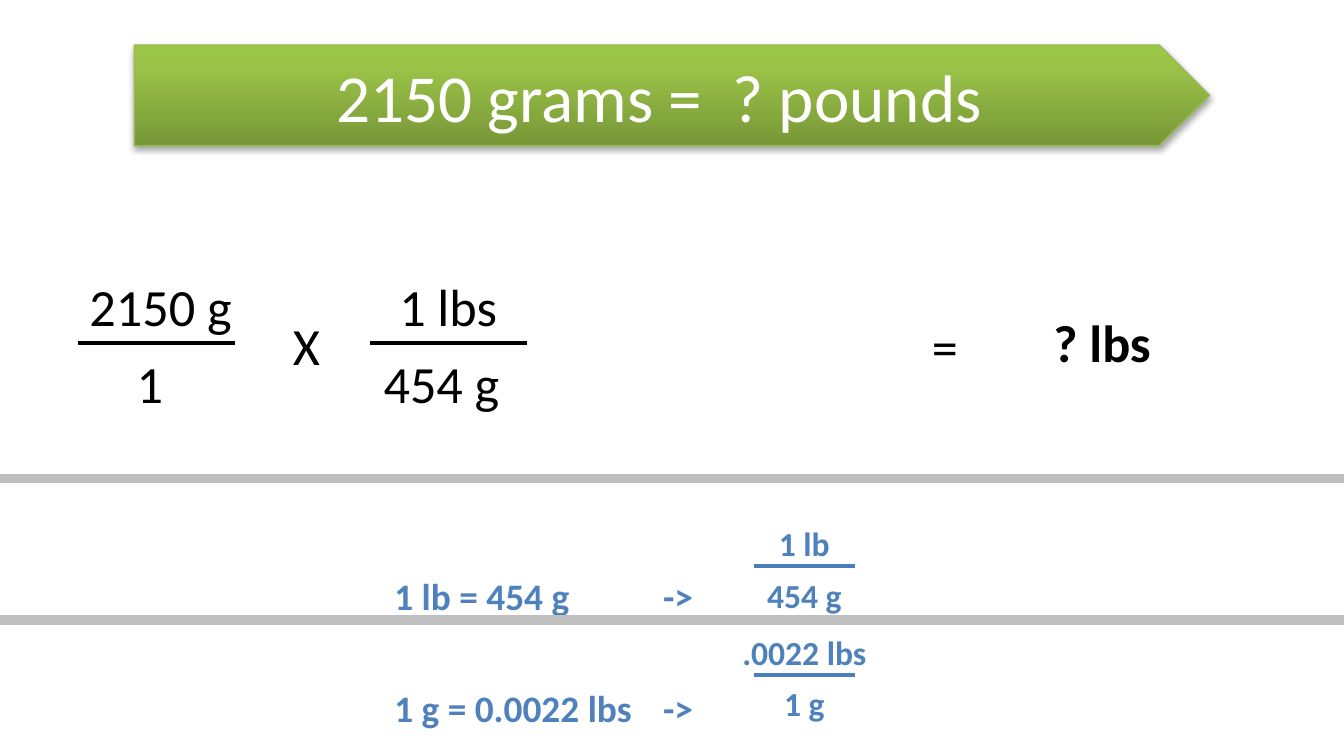
"""Build a unit conversion slide that turns grams into pounds."""
from copy import deepcopy
from dataclasses import dataclass

from lxml.etree import SubElement
from pptx import Presentation
from pptx.dml.color import RGBColor
from pptx.enum.shapes import MSO_CONNECTOR as Connector, MSO_SHAPE as Shape
from pptx.enum.text import MSO_ANCHOR as Anchor, MSO_AUTO_SIZE as AutoSize, PP_ALIGN as Align
from pptx.oxml.ns import qn
from pptx.util import Inches, Pt


@dataclass(frozen=True)
class Theme:
    font: str = "Calibri"
    ink: str = "000000"
    light: str = "FFFFFF"
    note: str = "4F81BD"
    note_bar: str = "4B7EBC"
    divider: str = "BFBFBF"
    banner_line: str = "98B955"
    banner_stops: tuple = ((0, "779737"), (0.8, "9BC348"), (1, "9DC746"))
    title_size: int = 36
    body_size: int = 28
    rule_size: int = 20
    note_size: int = 18


THEME = Theme()
CELL = 0.1
COLUMNS, ROWS = 100, 56.25


def grid(cells):
    return Inches(cells * CELL)


def write(frame, *lines, size=THEME.body_size, color=THEME.ink, bold=False,
          align=Align.LEFT, spacing=None, after=None, tab=None):
    for index, line in enumerate(lines):
        para = frame.paragraphs[0] if index == 0 else frame.add_paragraph()
        para.alignment = align
        if spacing:
            para.line_spacing = spacing
        if after:
            para.space_after = Pt(after)
        if tab:
            tabs = SubElement(para._p.get_or_add_pPr(), qn("a:tabLst"))
            SubElement(tabs, qn("a:tab"), pos=str(grid(tab)), algn="l")
        span = para.add_run()
        span.text = line
        span.font.name, span.font.size, span.font.bold = THEME.font, Pt(size), bold
        span.font.color.rgb = RGBColor.from_string(color)


class Slide:
    def __init__(self, page, theme):
        self.page, self.theme = page, theme

    def text(self, left, top, width, height, *lines, **style):
        box = self.page.shapes.add_textbox(*map(grid, (left, top, width, height)))
        box.text_frame.word_wrap = False
        box.text_frame.auto_size = AutoSize.SHAPE_TO_FIT_TEXT
        write(box.text_frame, *lines, **style)

    def rule(self, left, row, width, color, weight):
        line = self.page.shapes.add_connector(
            Connector.STRAIGHT, grid(left), grid(row), grid(left + width), grid(row))
        line.line.color.rgb = RGBColor.from_string(color)
        line.line.width = Pt(weight)
        SubElement(line._element.spPr, qn("a:effectLst"))

    def banner(self, left, top, width, height, title):
        arrow = self.page.shapes.add_shape(
            Shape.PENTAGON, *map(grid, (left, top, width, height)))
        arrow.line.color.rgb = RGBColor.from_string(self.theme.banner_line)
        arrow.line.width = Pt(0.75)
        arrow.fill.gradient()
        arrow.fill.gradient_angle = 90
        stop_list = arrow._element.spPr.find(qn("a:gradFill")).find(qn("a:gsLst"))
        stop_list.append(deepcopy(stop_list[-1]))
        for stop, (place, color) in zip(arrow.fill.gradient_stops, self.theme.banner_stops):
            stop.position = place
            stop.color.rgb = RGBColor.from_string(color)
        arrow.shadow.inherit = False
        effects = arrow._element.spPr.find(qn("a:effectLst"))
        shadow = SubElement(effects, qn("a:outerShdw"), blurRad=str(Pt(3.1)),
                            dist=str(Pt(1.8)), dir="5400000", rotWithShape="0")
        tint = SubElement(shadow, qn("a:srgbClr"), val=self.theme.ink)
        SubElement(tint, qn("a:alpha"), val="35000")
        arrow.text_frame.vertical_anchor = Anchor.MIDDLE
        write(arrow.text_frame, title, size=self.theme.title_size,
              color=self.theme.light, align=Align.CENTER)

    def fraction(self, center, row, top, bottom, shift=0):
        width, height, bar = 12.7, 5.7, 11.7
        left = center - width / 2
        self.text(left + shift, row - 5.6, width, height, top, align=Align.CENTER)
        self.text(left - 0.5, row + 0.1, width, height, bottom, align=Align.CENTER)
        self.rule(center - bar / 2, row, bar, self.theme.ink, 2)

    def note_fraction(self, center, row, top, bottom):
        width, bar = 11.3, 7.5
        self.text(center - width / 2, row - 3.7, width, 7.9, top, bottom,
                  size=self.theme.note_size, color=self.theme.note, bold=True,
                  align=Align.CENTER, after=6)
        self.rule(center - bar / 2, row, bar, self.theme.note_bar, 2)


def main():
    deck = Presentation()
    deck.slide_width, deck.slide_height = grid(COLUMNS), grid(ROWS)
    slide = Slide(deck.slides.add_slide(deck.slide_layouts[6]), THEME)

    slide.banner(10, 3.35, 80, 7.5, "2150 grams =  ? pounds")
    slide.fraction(11.65, 25.53, "2150 g", "1", shift=0.3)
    slide.text(20.8, 22.8, 4.1, 5.7, "X")
    slide.fraction(33.35, 25.53, "1 lbs", "454 g")
    slide.text(68.35, 22.9, 4, 5.7, "=")
    slide.text(77.4, 22.6, 9.3, 5.7, "? lbs", bold=True)

    slide.text(28.35, 37.15, 24.5, 17.8, "1 lb = 454 g\t->", "1 g = 0.0022 lbs\t->",
               size=THEME.rule_size, color=THEME.note, bold=True, spacing=2.5, tab=20)
    slide.note_fraction(59.85, 42.13, "1 lb", "454 g")
    slide.note_fraction(59.85, 50.2, ".0022 lbs", "1 g")
    for row in (35.6, 46.13):
        slide.rule(0, row, COLUMNS, THEME.divider, 5)

    deck.save("out.pptx")


if __name__ == "__main__":
    main()
